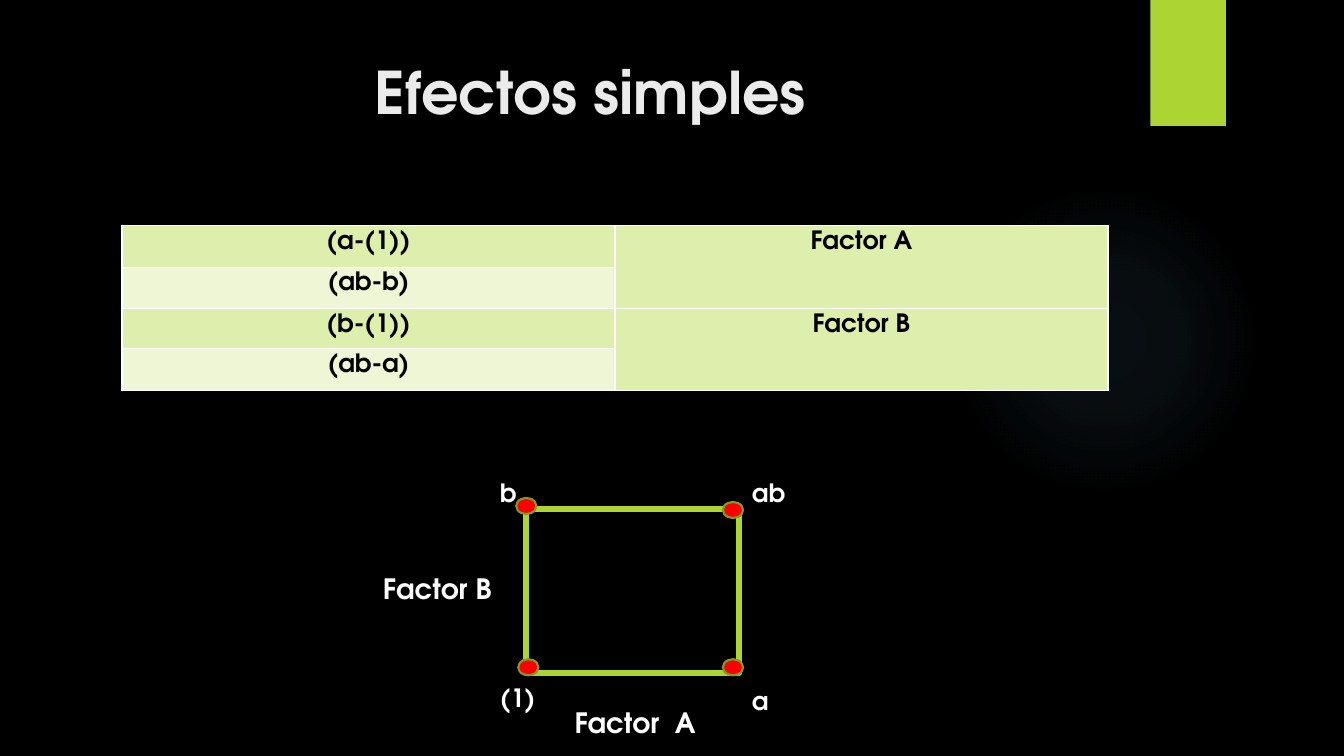
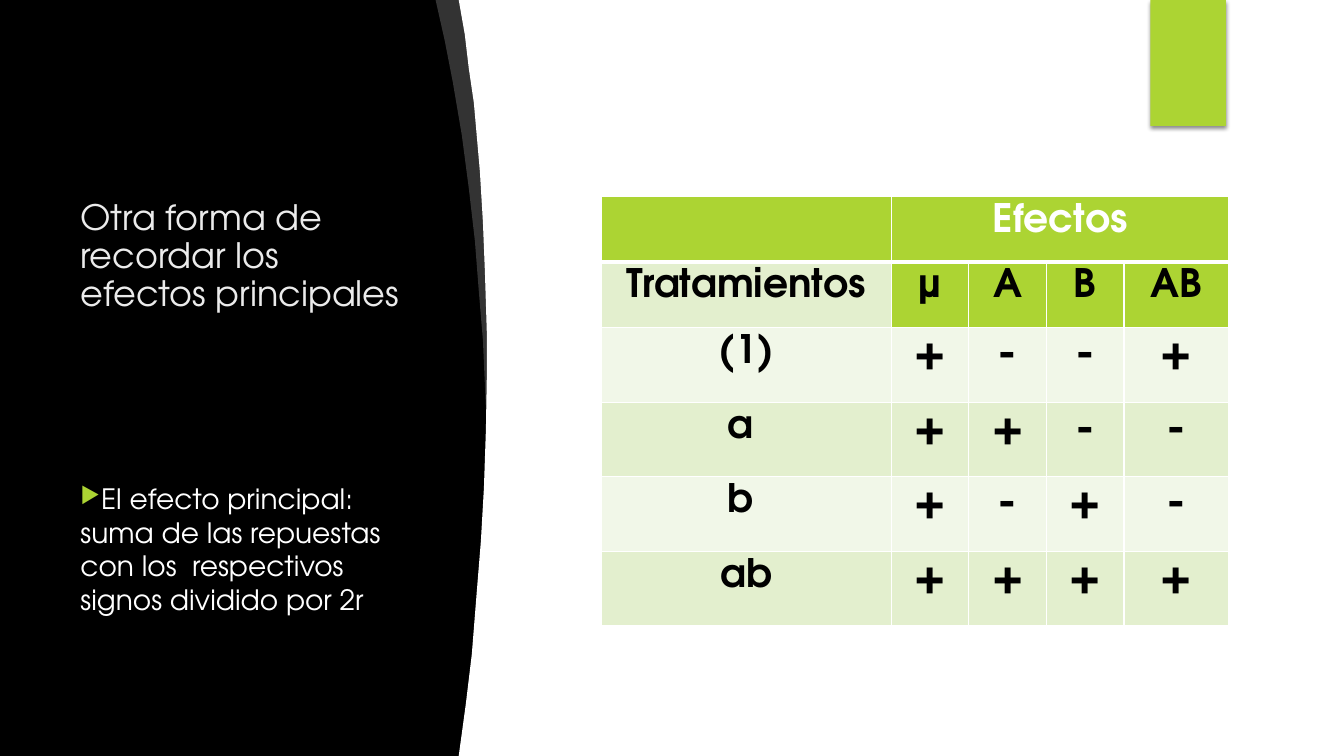
"""Build two slides on simple and main effects of a two-factor design."""
import lxml.etree
import pptx
import pptx.dml.color
import pptx.enum.shapes
import pptx.enum.text
import pptx.oxml
import pptx.oxml.ns
import pptx.util

Inches = pptx.util.Inches
Pt = pptx.util.Pt
RGBColor = pptx.dml.color.RGBColor
SHAPE = pptx.enum.shapes.MSO_SHAPE
ANCHOR = pptx.enum.text.MSO_ANCHOR
ALIGN = pptx.enum.text.PP_ALIGN
qn = pptx.oxml.ns.qn

FONT = "TeX Gyre Adventor"
BLACK = RGBColor(0x00, 0x00, 0x00)
WHITE = RGBColor(0xFF, 0xFF, 0xFF)
TITLE = RGBColor(0xEB, 0xEB, 0xEB)
LIME = RGBColor(0xAC, 0xD4, 0x33)
LIME_MID = RGBColor(0xDE, 0xEE, 0xAD)
LIME_PALE = RGBColor(0xEE, 0xF6, 0xD6)
SAGE_MID = RGBColor(0xE3, 0xEF, 0xCE)
SAGE_PALE = RGBColor(0xF1, 0xF7, 0xE8)
OLIVE = RGBColor(0x7F, 0x9D, 0x26)
RED = RGBColor(0xFF, 0x00, 0x00)

BAND = (11.41, 0, 0.75, 1.25)
DRAWING = 'xmlns:a="http://schemas.openxmlformats.org/drawingml/2006/main"'
BAND_SHADOW = f"""<a:effectLst {DRAWING}><a:outerShdw blurRad="38100" dist="25400" dir="5400000">
<a:srgbClr val="000000"><a:alpha val="45000"/></a:srgbClr></a:outerShdw></a:effectLst>"""
GLOW = f"""<a:gradFill {DRAWING}><a:gsLst>
<a:gs pos="0"><a:srgbClr val="7AC4F0"><a:alpha val="7000"/></a:srgbClr></a:gs>
<a:gs pos="36000"><a:srgbClr val="7AC4F0"><a:alpha val="6000"/></a:srgbClr></a:gs>
<a:gs pos="69000"><a:srgbClr val="7AC4F0"><a:alpha val="0"/></a:srgbClr></a:gs></a:gsLst>
<a:path path="circle"><a:fillToRect l="50000" t="50000" r="50000" b="50000"/></a:path></a:gradFill>"""


def write(frame, text, size=18, color=WHITE, bold=False, align=ALIGN.LEFT, anchor=ANCHOR.TOP,
          wrap=True, spacing=None):
    """Put one formatted paragraph into a text frame and return it."""
    frame.word_wrap = wrap
    frame.vertical_anchor = anchor
    para = frame.paragraphs[0]
    para.alignment = align
    if spacing:
        para.line_spacing = spacing
    span = para.add_run()
    span.text = text
    span.font.name = FONT
    span.font.size = Pt(size)
    span.font.bold = bold
    span.font.color.rgb = color
    return para


def paint(shape, fill=None, line=None, width=1):
    """Set the fill and outline of a shape, without a shadow."""
    shape.shadow.inherit = False
    if fill is None:
        shape.fill.background()
    else:
        shape.fill.solid()
        shape.fill.fore_color.rgb = fill
    if line is None:
        shape.line.fill.background()
    else:
        shape.line.color.rgb = line
        shape.line.width = Pt(width)
    return shape


deck = pptx.Presentation()
deck.slide_width = Inches(13.33)
deck.slide_height = Inches(7.5)
simple_page, main_page = [deck.slides.add_slide(deck.slide_layouts[6]) for _ in range(2)]

glow = paint(simple_page.shapes.add_shape(
    SHAPE.OVAL, Inches(9.41), Inches(1.83), Inches(3.08), Inches(3.08)))
properties = glow._element.spPr
properties.replace(properties.find(qn("a:noFill")), pptx.oxml.parse_xml(GLOW))

wedge_points = [(4.32, 0), (4.84, 0), (4.92, 1.5), (4.93, 2.6), (4.89, 4.02), (4.82, 4.06),
                (4.79, 3.38), (4.75, 2.9), (4.71, 2.39), (4.65, 1.87), (4.58, 1.34),
                (4.49, 0.81), (4.41, 0.4)]
curve_points = [(6.02, 7.5), (6.02, 0), (4.55, 0), (4.61, 0.34), (4.65, 0.68), (4.7, 1.02),
                (4.73, 1.36), (4.76, 1.7), (4.79, 2.2), (4.81, 2.7), (4.83, 3.34), (4.83, 3.66),
                (4.82, 4.26), (4.8, 4.84), (4.77, 5.37), (4.73, 5.86), (4.68, 6.49),
                (4.62, 6.99), (4.55, 7.5)]
outlines = []
for points in (wedge_points, curve_points):
    corners = [(Inches(x), Inches(y)) for x, y in points]
    builder = main_page.shapes.build_freeform(*corners[0])
    builder.add_line_segments(corners[1:], close=True)
    outlines.append(paint(builder.convert_to_shape(), WHITE))
wedge_color = outlines[0]._element.spPr.find(qn("a:solidFill"))[0]
lxml.etree.SubElement(wedge_color, qn("a:alpha")).set("val", "20000")
paint(main_page.shapes.add_shape(
    SHAPE.RECTANGLE, Inches(5.07), 0, Inches(8.26), Inches(7.5)), WHITE)

titles = [
    (simple_page, "Efectos simples", (0.71, 0.5, 10.29, 1.53),
     dict(size=42, bold=True, align=ALIGN.CENTER)),
    (main_page, "Otra forma de recordar los efectos principales", (0.7, 1.58, 3.4, 1.58),
     dict(size=25, anchor=ANCHOR.BOTTOM, spacing=0.9)),
]
for page, text, place, style in titles:
    page.background.fill.solid()
    page.background.fill.fore_color.rgb = BLACK
    band = paint(page.shapes.add_shape(SHAPE.RECTANGLE, *map(Inches, BAND)), LIME)
    properties = band._element.spPr
    properties.replace(properties.find(qn("a:effectLst")), pptx.oxml.parse_xml(BAND_SHADOW))
    box = page.shapes.add_textbox(*map(Inches, place))
    write(box.text_frame, text, color=TITLE, **style)

body = main_page.shapes.add_textbox(Inches(0.7), Inches(4.73), Inches(3.4), Inches(1.85))
para = write(body.text_frame, "El efecto principal: suma de las repuestas con los  respectivos "
             "signos dividido por 2r", size=20)
para.space_before = Pt(10)
bullet = para._p.get_or_add_pPr()
bullet_color = lxml.etree.SubElement(bullet, qn("a:buClr"))
lxml.etree.SubElement(bullet_color, qn("a:srgbClr")).set("val", str(LIME))
lxml.etree.SubElement(bullet, qn("a:buSzPct")).set("val", "80000")
lxml.etree.SubElement(bullet, qn("a:buChar")).set("char", "▶")

simple_rows = [["(a-(1))", "Factor A"], ["(ab-b)", ""], ["(b-(1))", "Factor B"], ["(ab-a)", ""]]
main_rows = [
    ["", "Efectos", "", "", ""],
    ["Tratamientos", "µ", "A", "B", "AB"],
    ["(1)", "+", "-", "-", "+"],
    ["a ", "+", "+", "-", "-"],
    ["b ", "+", "-", "+", "-"],
    ["ab", "+", "+", "+", "+"],
]
tables = [
    (simple_page, simple_rows, (1.21, 2.24), [4.89] * 2, [0.41, 0.41, 0.38, 0.41],
     [(0, 1, 1, 1), (2, 1, 3, 1)]),
    (main_page, main_rows, (5.96, 1.95), [2.88, 0.77, 0.77, 0.77, 1.04],
     [0.65] * 2 + [0.74] * 4, [(0, 1, 0, 4)]),
]
for page, rows, (left, top), widths, heights, merges in tables:
    grid = page.shapes.add_table(len(rows), len(widths), Inches(left), Inches(top),
                                 Inches(sum(widths)), Inches(sum(heights))).table
    grid.horz_banding = False
    for column, width in zip(grid.columns, widths):
        column.width = Inches(width)
    for row, height in zip(grid.rows, heights):
        row.height = Inches(height)
    for first_row, first_column, last_row, last_column in merges:
        grid.cell(first_row, first_column).merge(grid.cell(last_row, last_column))
    for r, texts in enumerate(rows):
        for c, text in enumerate(texts):
            cell = grid.cell(r, c)
            style = dict(size=18, color=BLACK, anchor=ANCHOR.MIDDLE)
            if page is simple_page:
                fill = LIME_PALE if r % 2 and c == 0 else LIME_MID
            else:
                cell.margin_left = cell.margin_right = Inches(0.14)
                cell.margin_top = cell.margin_bottom = Inches(0.07)
                header = r == 0 or (r == 1 and c > 0)
                fill = LIME if header else SAGE_MID if r % 2 else SAGE_PALE
                style = dict(size=33 if r > 1 and c > 0 else 28, color=BLACK if r else WHITE)
            cell.fill.solid()
            cell.fill.fore_color.rgb = fill
            if text:
                write(cell.text_frame, text, bold=True, align=ALIGN.CENTER, **style)
            for index, side in enumerate("LRTB"):
                thick = page is main_page and (r, side) in ((0, "B"), (1, "T"))
                border = lxml.etree.Element(qn(f"a:ln{side}"), w=str(Pt(3 if thick else 1)))
                border_fill = lxml.etree.SubElement(border, qn("a:solidFill"))
                lxml.etree.SubElement(border_fill, qn("a:srgbClr")).set("val", str(WHITE))
                cell._tc.get_or_add_tcPr().insert(index, border)

paint(simple_page.shapes.add_shape(
    SHAPE.RECTANGLE, Inches(5.22), Inches(5.05), Inches(2.11), Inches(1.63)), line=LIME, width=4.5)
labels = [
    ("b", 18, (4.86, 4.69, 0.39, 0.4)),
    ("(1)", 18, (4.86, 6.72, 0.62, 0.4)),
    ("ab", 18, (7.36, 4.69, 0.59, 0.4)),
    ("a", 18, (7.36, 6.75, 0.39, 0.4)),
    ("Factor  A", 20, (5.6, 6.95, 1.41, 0.44)),
    ("Factor B", 20, (3.7, 5.62, 1.35, 0.44)),
]
for text, size, place in labels:
    box = simple_page.shapes.add_textbox(*map(Inches, place))
    write(box.text_frame, text, size=size, bold=True, wrap=False)
for left, top in [(5.12, 4.94), (5.14, 6.54), (7.17, 6.54), (7.17, 4.98)]:
    paint(simple_page.shapes.add_shape(
        SHAPE.OVAL, Inches(left), Inches(top), Inches(0.2), Inches(0.16)), RED, OLIVE, 1.5)

deck.save("out.pptx")
